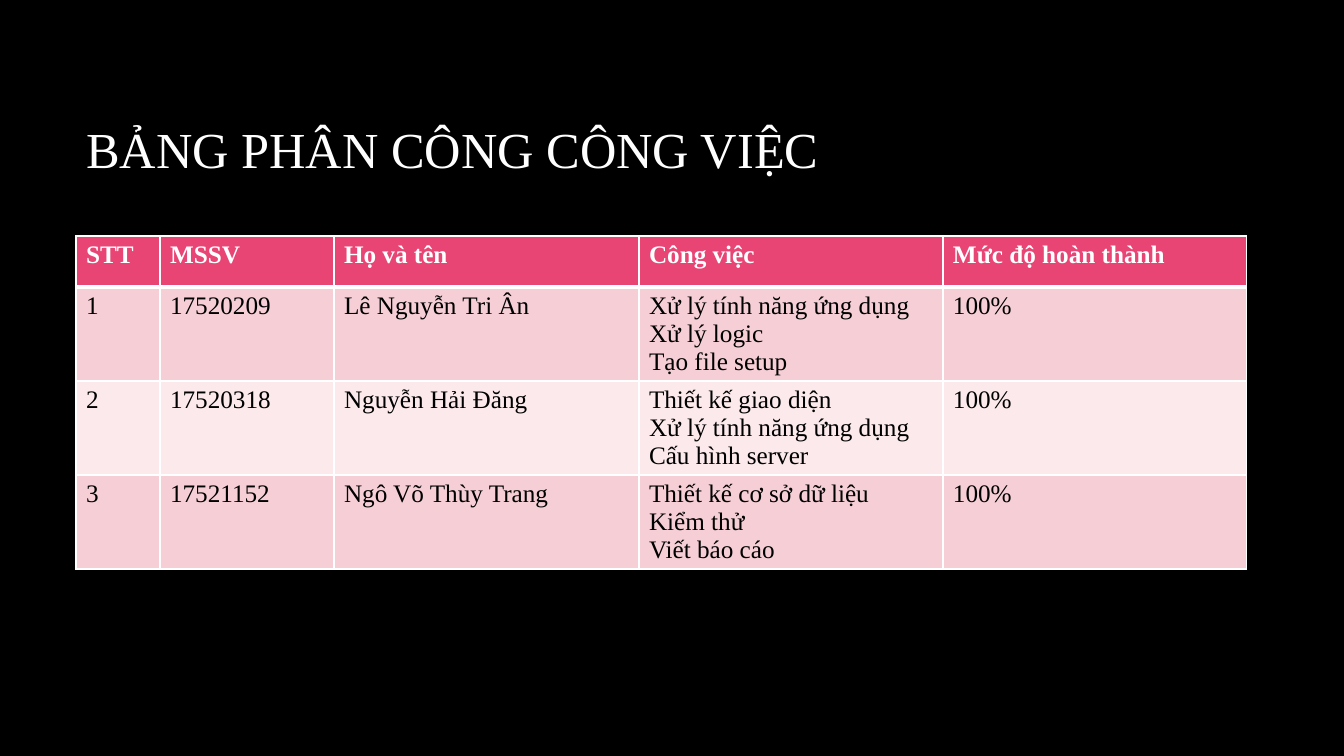
from lxml import etree
from pptx import Presentation
from pptx.dml.color import RGBColor
from pptx.enum import text
from pptx.oxml import ns
from pptx.util import Emu, Pt

COLORS = {
    "background": "000000",
    "white": "FFFFFF",
    "black": "000000",
    "header": "E84574",
    "odd": "F6CFD6",
    "even": "FBE9EB",
}
FONT = "Times New Roman"
SCALE = 914400 / 100.8


def px(length):
    return Emu(round(length * SCALE))


def format_text(frame, size, color, bold=False):
    values = {"name": FONT, "size": Pt(size), "bold": bold}
    for para in frame.paragraphs:
        para.alignment = text.PP_ALIGN.LEFT
        for span in para.runs:
            for name, value in values.items():
                setattr(span.font, name, value)
            span.font.color.rgb = RGBColor.from_string(COLORS[color])


deck = Presentation()
deck.slide_width, deck.slide_height = px(1344), px(756)
page = deck.slides.add_slide(deck.slide_layouts[5])
page.background.fill.solid()
page.background.fill.fore_color.rgb = RGBColor.from_string(COLORS["background"])

title = page.shapes.title
title_place = {"left": 76, "top": 68, "width": 1117, "height": 160}
for name, value in title_place.items():
    setattr(title, name, px(value))
title.text_frame.text = "BẢNG PHÂN CÔNG CÔNG VIỆC"
title_frame = {
    "vertical_anchor": text.MSO_ANCHOR.MIDDLE,
    "auto_size": text.MSO_AUTO_SIZE.NONE,
    "word_wrap": True,
}
for name, value in title_frame.items():
    setattr(title.text_frame, name, value)
format_text(title.text_frame, 36, "white")

rows = [
    ["STT", "MSSV", "Họ và tên", "Công việc", "Mức độ hoàn thành"],
    ["1", "17520209", "Lê Nguyễn Tri Ân",
     "Xử lý tính năng ứng dụng\nXử lý logic\nTạo file setup", "100%"],
    ["2", "17520318", "Nguyễn Hải Đăng",
     "Thiết kế giao diện\nXử lý tính năng ứng dụng\nCấu hình server", "100%"],
    ["3", "17521152", "Ngô Võ Thùy Trang",
     "Thiết kế cơ sở dữ liệu\nKiểm thử\nViết báo cáo", "100%"],
]
column_widths = [84, 174, 305, 304, 304]
row_heights = [51, 94, 94, 94]

table = page.shapes.add_table(
    len(rows), len(column_widths), px(76), px(236),
    px(sum(column_widths)), px(sum(row_heights)),
).table
for column, width in zip(table.columns, column_widths):
    column.width = px(width)
for row, height in zip(table.rows, row_heights):
    row.height = px(height)

for row_index, entries in enumerate(rows):
    is_header = row_index == 0
    fill = "header" if is_header else "odd" if row_index % 2 else "even"
    for column_index, entry in enumerate(entries):
        cell = table.cell(row_index, column_index)
        cell.text = entry
        format_text(cell.text_frame, 18, "white" if is_header else "black", is_header)
        borders = {
            "lnL": 1,
            "lnR": 1,
            "lnT": 3 if row_index == 1 else 1,
            "lnB": 3 if is_header else 1,
        }
        properties = cell._tc.get_or_add_tcPr()
        for tag, width in borders.items():
            line = etree.SubElement(properties, ns.qn(f"a:{tag}"), w=str(Pt(width)))
            solid = etree.SubElement(line, ns.qn("a:solidFill"))
            etree.SubElement(solid, ns.qn("a:srgbClr"), val=COLORS["white"])
        cell.fill.solid()
        cell.fill.fore_color.rgb = RGBColor.from_string(COLORS[fill])

deck.save("out.pptx")
